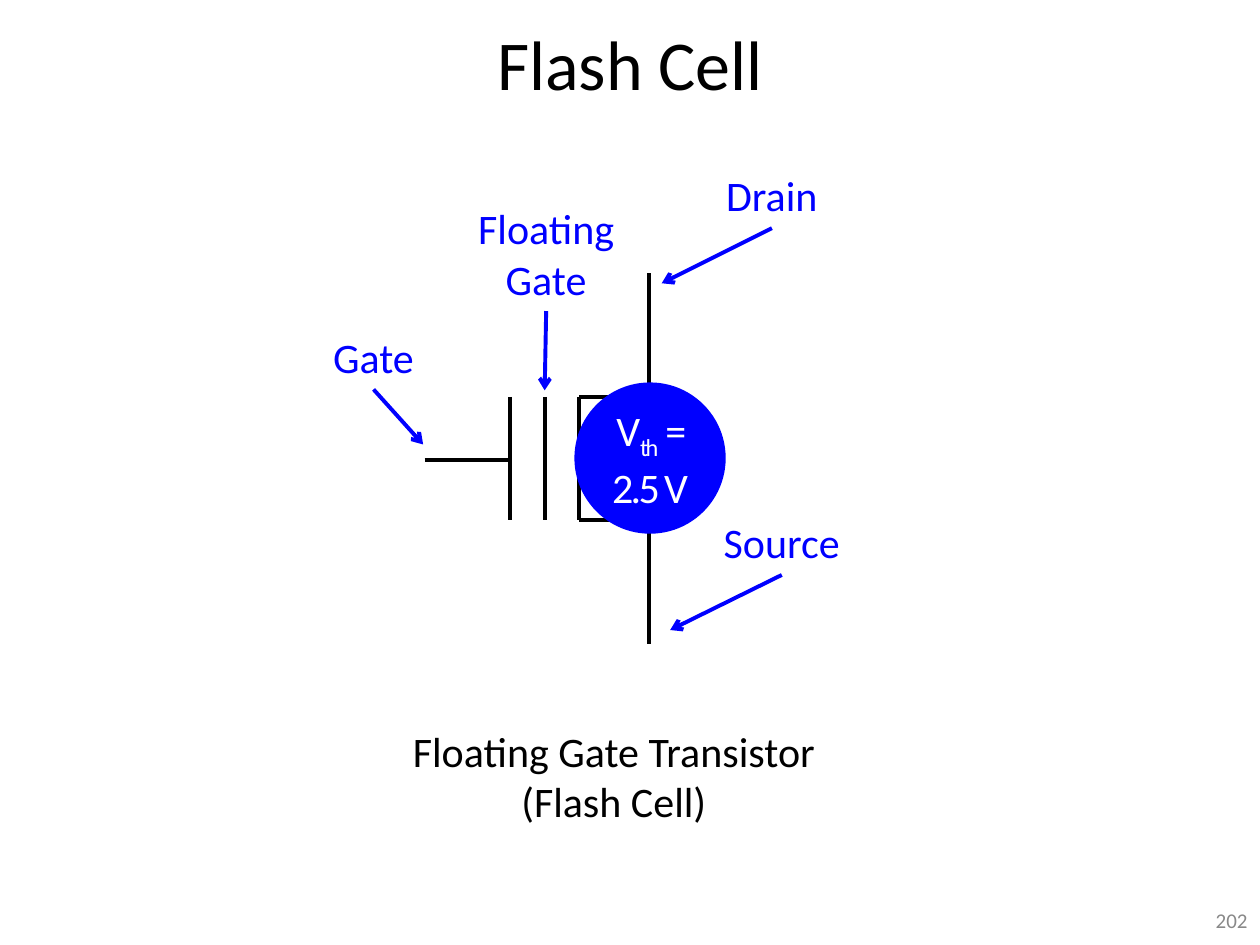
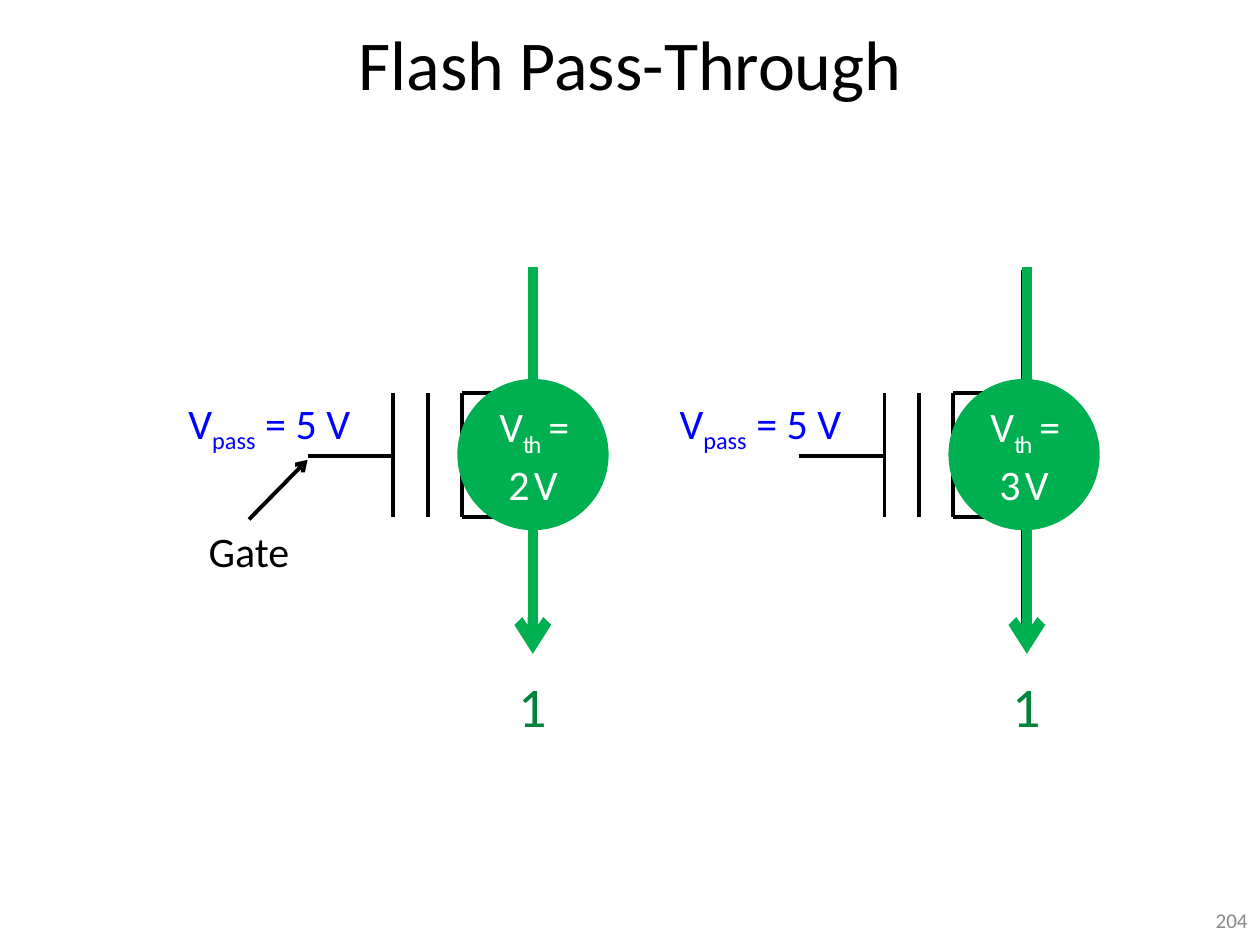
from lxml import etree
from pptx import Presentation
from pptx.dml.color import RGBColor
from pptx.enum import shapes, text
from pptx.oxml import ns
from pptx.util import Cm, Pt

# Shared style
FONT = "Calibri"
BLACK, WHITE, BLUE, GREY = "000000", "FFFFFF", "0000FF", "898989"
GREEN, DARK_GREEN = "00B050", "00843C"
SLIDE_W, SLIDE_H = 25.4, 19.05
LABEL_W, LABEL_H = 4.04, 1.3
CENTER, RIGHT = text.PP_ALIGN.CENTER, text.PP_ALIGN.RIGHT

# Transistor geometry in cm, from the top left of its box
CONTROL_X, FLOATING_X, BODY_X, CHANNEL_X = 1.73, 2.42, 3.12, 4.52
BODY_TOP, BODY_BOTTOM, SOURCE_END = 2.49, 4.98, 7.47
GATE_Y = 3.76
BADGE_X, BADGE_Y, BADGE_SIZE = 3.02, 2.2, 3.05


def rgb(color):
    return RGBColor.from_string(color)


def write(shape, content, size, color, align=CENTER, spacing=None):
    """Fill a shape with text; parts between underscores are subscripts."""
    frame = shape.text_frame
    for i, line in enumerate(content.split("\n")):
        paragraph = frame.paragraphs[0] if i == 0 else frame.add_paragraph()
        paragraph.alignment = align
        for j, part in enumerate(line.split("_")):
            run = paragraph.add_run()
            run.text = part
            run.font.name, run.font.size = FONT, Pt(size)
            run.font.color.rgb = rgb(color)
            props = run.font._element
            if j % 2:
                props.set("baseline", "-25000")
            if spacing:
                props.set("spc", str(round(spacing * 100)))


def add_label(slide, content, left, top, width, height, size=24, color=BLUE,
              align=CENTER, anchor=text.MSO_ANCHOR.TOP, wrap=True):
    box = slide.shapes.add_textbox(Cm(left), Cm(top), Cm(width), Cm(height))
    box.text_frame.word_wrap = wrap
    box.text_frame.vertical_anchor = anchor
    write(box, content, size, color, align)


def add_line(parent, x1, y1, x2, y2, color=BLACK, width=2.25, arrow=False):
    line = parent.shapes.add_connector(
        shapes.MSO_CONNECTOR.STRAIGHT, Cm(x1), Cm(y1), Cm(x2), Cm(y2))
    line.line.color.rgb = rgb(color)
    line.line.width = Pt(width)
    if arrow:
        etree.SubElement(line.line._get_or_add_ln(), ns.qn("a:tailEnd"), type="arrow")
    etree.SubElement(line._element.spPr, ns.qn("a:effectLst"))


def add_titled_slide(deck, title, number):
    slide = deck.slides.add_slide(deck.slide_layouts.get_by_name("Title Only"))
    heading = slide.shapes.title
    heading.left, heading.top = Cm(0), Cm(0)
    heading.width, heading.height = Cm(SLIDE_W), Cm(2.54)
    heading.text_frame.vertical_anchor = text.MSO_ANCHOR.MIDDLE
    write(heading, title, 40, BLACK)
    add_label(slide, number, 19.48, 18.03, 5.92, 1.02, 12, GREY, RIGHT,
              text.MSO_ANCHOR.MIDDLE)
    return slide


def add_transistor(slide, left, top):
    wires = [
        (CHANNEL_X, 0, CHANNEL_X, BODY_TOP),                    # drain
        (CHANNEL_X, BODY_TOP, BODY_X, BODY_TOP),
        (BODY_X, BODY_TOP, BODY_X, BODY_BOTTOM),
        (CHANNEL_X, BODY_BOTTOM, BODY_X, BODY_BOTTOM),
        (CHANNEL_X, BODY_BOTTOM, CHANNEL_X, SOURCE_END),        # source
        (FLOATING_X, BODY_TOP, FLOATING_X, BODY_BOTTOM),
        (CONTROL_X, BODY_TOP, CONTROL_X, BODY_BOTTOM),
        (0, GATE_Y, CONTROL_X, GATE_Y),                         # gate
    ]
    group = slide.shapes.add_group_shape()
    for x1, y1, x2, y2 in wires:
        add_line(group, left + x1, top + y1, left + x2, top + y2)


def add_threshold_badge(slide, left, top, voltage, color):
    badge = slide.shapes.add_shape(
        shapes.MSO_SHAPE.OVAL, Cm(left + BADGE_X), Cm(top + BADGE_Y),
        Cm(BADGE_SIZE), Cm(BADGE_SIZE))
    badge.shadow.inherit = False
    badge.fill.solid()
    badge.fill.fore_color.rgb = rgb(color)
    badge.line.fill.background()
    badge.text_frame.word_wrap = True
    badge.text_frame.vertical_anchor = text.MSO_ANCHOR.MIDDLE
    write(badge, f"V_th_ = {voltage} V", 24, WHITE, spacing=-1.5)


def add_callout(slide, name, left, top, tip_x, tip_y, height=LABEL_H, color=BLUE):
    """Label with an arrow from its nearer edge to the tip."""
    start_y = top + height if tip_y > top else top
    add_line(slide, left + LABEL_W / 2, start_y, tip_x, tip_y, color, arrow=True)
    add_label(slide, name, left, top, LABEL_W, height, color=color)


def add_conducting_cell(slide, left, top, voltage, current_x):
    add_transistor(slide, left, top)
    add_label(slide, "V_pass_ = 5 V", left - 3.26, top + 2.44, 4.98, LABEL_H)
    # Current through the channel, and the bit it reads
    x = left + current_x
    add_line(slide, x, top - 0.05, x, top + 7.74, GREEN, 6, arrow=True)
    add_threshold_badge(slide, left, top, voltage, GREEN)
    add_label(slide, "1", x - 1.18, top + 7.97, 2.36, 1.63, 32, DARK_GREEN)


def build_flash_cell(deck):
    slide = add_titled_slide(deck, "Flash Cell", "202")
    left, top = 8.56, 5.51
    add_transistor(slide, left, top)
    # Terminals: label position, arrow tip, label height
    terminals = [
        ("Floating Gate", 0.43, -1.55, FLOATING_X, 2.36, 2.31),
        ("Gate", -3.05, 1.04, -0.03, 3.45, LABEL_H),
        ("Drain", 4.98, -2.21, 4.78, 0.2, LABEL_H),
        ("Source", 5.18, 4.78, 4.95, 7.19, LABEL_H),
    ]
    for name, x, y, tip_x, tip_y, height in terminals:
        add_callout(slide, name, left + x, top + y, left + tip_x, top + tip_y, height)
    add_label(slide, "Floating Gate Transistor\n(Flash Cell)",
              8.03, 14.5, 8.69, 2.31, color=BLACK, wrap=False)
    add_threshold_badge(slide, left, top, "2.5", BLUE)


def build_pass_through(deck):
    slide = add_titled_slide(deck, "Flash Pass-Through", "204")
    top = 5.44
    cells = [(6.2, "2", 4.54), (16.1, "3", 4.6)]
    for left, voltage, current_x in cells:
        add_conducting_cell(slide, left, top, voltage, current_x)
    gate_x = cells[0][0]
    add_callout(slide, "Gate", gate_x - 3.2, top + 5.03, gate_x, top + 3.83, color=BLACK)


def main():
    deck = Presentation()
    deck.slide_width, deck.slide_height = Cm(SLIDE_W), Cm(SLIDE_H)
    build_flash_cell(deck)
    build_pass_through(deck)
    deck.save("out.pptx")


if __name__ == "__main__":
    main()
